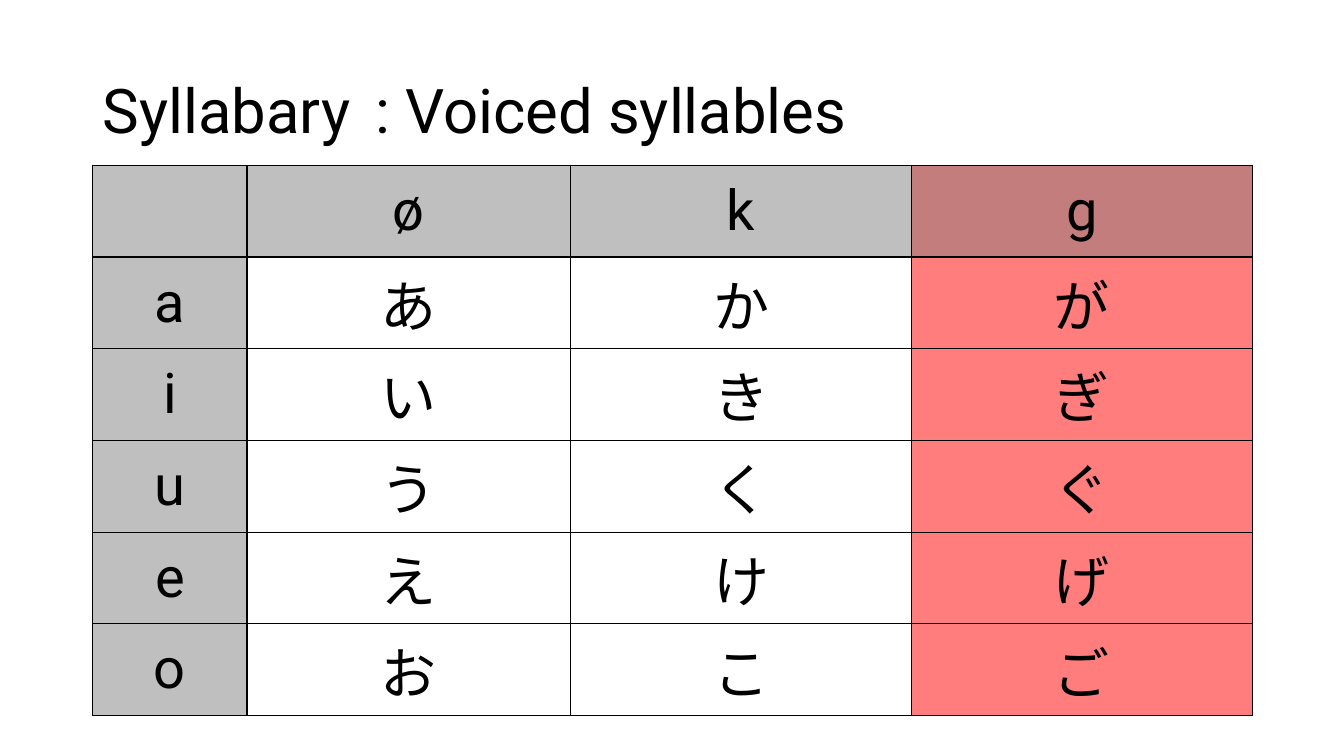
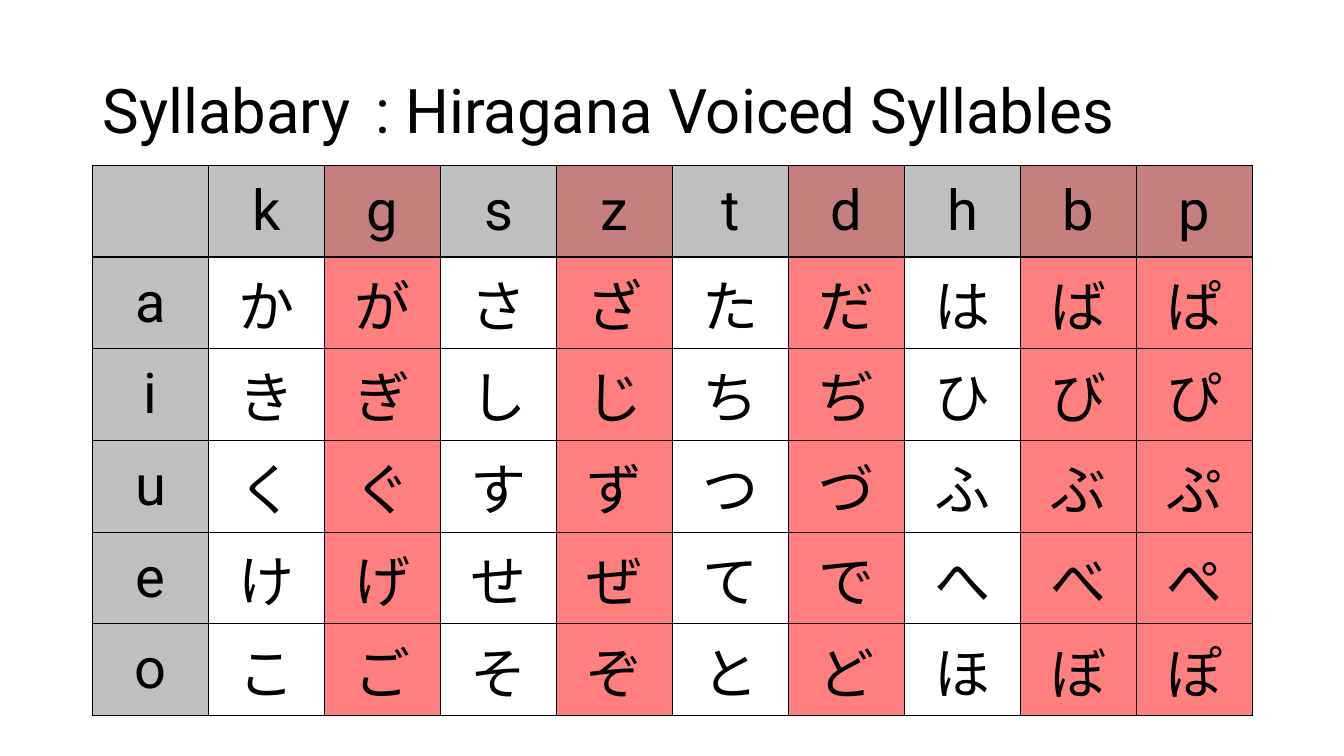
from lxml.etree import SubElement
from pptx import Presentation
from pptx.dml.color import RGBColor
from pptx.enum.text import MSO_ANCHOR, PP_ALIGN
from pptx.oxml.ns import qn
from pptx.util import Inches, Pt

COLORS = {
    "text": "000000",
    "border": "000000",
    "header": "BFBFBF",
    "plain": "FFFFFF",
    "voiced_header": "8C0000",
    "voiced": "FF0000",
}
FONT = "Roboto"
VOWELS = " aiueo"
VOICED = "gzdbp"
KANA = {
    "ø": "あいうえお",
    "k": "かきくけこ",
    "g": "がぎぐげご",
    "s": "さしすせそ",
    "z": "ざじずぜぞ",
    "t": "たちつてと",
    "d": "だぢづでど",
    "h": "はひふへほ",
    "b": "ばびぶべぼ",
    "p": "ぱぴぷぺぽ",
}
LEFT, WIDTH = 0.92, 11.5
TABLE_TOP, ROW_HEIGHT = 1.64, 0.91

# Subtitle, consonant columns, column widths, opacity of the voiced columns
SLIDES = [
    (" : Voiced syllables", "økg", [1.53, 3.21, 3.38, 3.38], 51),
    (" : Hiragana Voiced Syllables", "kgsztdhbp", [WIDTH / 10] * 10, 50),
]


def write_text(text_frame, text, size):
    text_frame.text = text
    paragraph = text_frame.paragraphs[0]
    font = paragraph.runs[0].font
    font.name = FONT
    font.size = Pt(size)
    font.color.rgb = RGBColor.from_string(COLORS["text"])
    return paragraph


def style_cell(cell, color, opacity):
    properties = cell._tc.get_or_add_tcPr()
    for side in ("a:lnL", "a:lnR", "a:lnT", "a:lnB"):
        line = SubElement(properties, qn(side), w=str(Pt(1)))
        line_fill = SubElement(line, qn("a:solidFill"))
        SubElement(line_fill, qn("a:srgbClr"), val=COLORS["border"])
    cell.fill.solid()
    cell.fill.fore_color.rgb = RGBColor.from_string(COLORS[color])
    if opacity < 100:
        fill_color = properties.find(qn("a:solidFill"))[0]
        SubElement(fill_color, qn("a:alpha"), val=str(opacity * 1000))
    cell.vertical_anchor = MSO_ANCHOR.MIDDLE


presentation = Presentation()
presentation.slide_width = Inches(13.33)
presentation.slide_height = Inches(7.5)

for subtitle, consonants, widths, voiced_opacity in SLIDES:
    slide = presentation.slides.add_slide(presentation.slide_layouts[6])

    # Title in two parts that end at the same right edge
    for text, left in (("Syllabary", LEFT), (subtitle, 3.47)):
        title = slide.shapes.add_textbox(
            Inches(left), Inches(0.4), Inches(LEFT + WIDTH - left), Inches(1.45))
        title.text_frame.word_wrap = True
        title.text_frame.vertical_anchor = MSO_ANCHOR.MIDDLE
        write_text(title.text_frame, text, 44).line_spacing = 0.9

    # Syllable table
    table = slide.shapes.add_table(
        len(VOWELS), len(widths), Inches(LEFT), Inches(TABLE_TOP),
        Inches(WIDTH), Inches(ROW_HEIGHT * len(VOWELS))).table
    table.first_row = False
    table.horz_banding = False
    for column, width in zip(table.columns, widths):
        column.width = Inches(width)

    # One column of vowels, then one column for each consonant
    columns = [VOWELS] + [consonant + KANA[consonant] for consonant in consonants]
    for column_index, letters in enumerate(columns):
        voiced = letters[0] in VOICED
        for row_index, letter in enumerate(letters):
            cell = table.cell(row_index, column_index)
            if voiced:
                color = "voiced" if row_index else "voiced_header"
            else:
                color = "plain" if row_index and column_index else "header"
            style_cell(cell, color, voiced_opacity if voiced else 100)
            if letter.strip():
                write_text(cell.text_frame, letter, 40).alignment = PP_ALIGN.CENTER

presentation.save("out.pptx")
